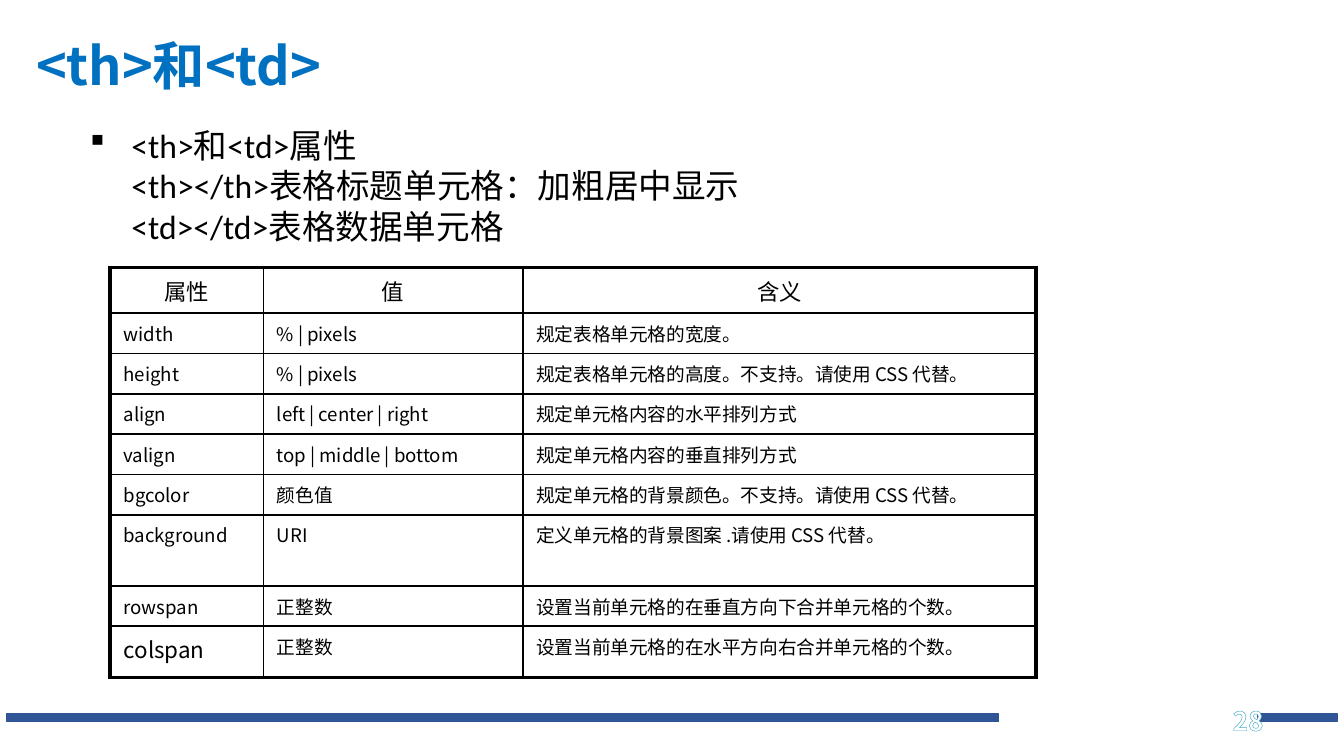
from lxml import etree
from pptx import Presentation
from pptx import util as u
from pptx.dml.color import RGBColor
from pptx.enum import dml, shapes, text
from pptx.oxml.ns import qn

SANS = "Noto Sans CJK SC"
BLACK = "000000"
BAR_BLUE = "2F5597"
THIN, THICK = 1, 2.25

COLUMNS = [1.14, 1.93, 3.82]
ROWS = [0.34] + [0.3] * 5 + [0.53, 0.3, 0.38]
ATTRIBUTES = [
    ("属性", "值", "含义"),
    ("width", "% | pixels", "规定表格单元格的宽度。"),
    ("height", "% | pixels", "规定表格单元格的高度。不支持。请使用 CSS 代替。"),
    ("align", "left | center | right", "规定单元格内容的水平排列方式"),
    ("valign", "top | middle | bottom", "规定单元格内容的垂直排列方式"),
    ("bgcolor", "颜色值", "规定单元格的背景颜色。不支持。请使用 CSS 代替。"),
    ("background", "URI", "定义单元格的背景图案 .请使用 CSS 代替。"),
    ("rowspan", "正整数", "设置当前单元格的在垂直方向下合并单元格的个数。"),
    ("colspan", "正整数", "设置当前单元格的在水平方向右合并单元格的个数。"),
]


def rgb(value):
    return RGBColor.from_string(value)


def add_solid_line(parent, tag, width, color):
    line = etree.SubElement(parent, qn(tag), w=str(u.Pt(width)))
    fill = etree.SubElement(line, qn("a:solidFill"))
    etree.SubElement(fill, qn("a:srgbClr"), val=color)
    return line


def write(frame, words, size=10, font=SANS, east_asian=SANS, color=BLACK,
          bold=False, align=text.PP_ALIGN.LEFT, anchor=None):
    """Fill a text frame with one formatted paragraph and return it."""
    frame.word_wrap = True
    if anchor is not None:
        frame.vertical_anchor = anchor
    para = frame.paragraphs[0]
    para.text = words
    para.alignment = align
    for span in para.runs:
        span.font.size = u.Pt(size)
        span.font.name = font
        span.font.bold = bold
        span.font.color.rgb = rgb(color)
        latin = span.font._element.find(qn("a:latin"))
        latin.addnext(etree.Element(qn("a:ea"), typeface=east_asian))
    return para


def add_text(page, box, words, **style):
    frame = page.shapes.add_textbox(*map(u.Inches, box)).text_frame
    return write(frame, words, **style)


def add_footer_bars(page, box):
    left, top, width, height = box
    # The gap between the bars holds the page number
    for offset, length in ((0, 7.38), (width - 0.59, 0.59)):
        bar = page.shapes.add_shape(
            shapes.MSO_SHAPE.RECTANGLE,
            *map(u.Inches, (left + offset, top, length, height)))
        bar.shadow.inherit = False
        bar.fill.solid()
        bar.fill.fore_color.rgb = rgb(BAR_BLUE)
        bar.line.color.rgb = rgb(BAR_BLUE)
        bar.line.width = u.Pt(1)


def add_intro(page, box):
    para = add_text(
        page, box,
        "<th>和<td>属性\v<th></th>表格标题单元格：加粗居中显示\v<td></td>表格数据单元格",
        size=18, font="Calibri", east_asian="Calibri")
    properties = para._p.get_or_add_pPr()
    properties.set("marL", str(u.Inches(0.31)))
    properties.set("indent", str(-u.Inches(0.31)))
    # This Wingdings character is a small square
    etree.SubElement(properties, qn("a:buFont"), typeface="Wingdings",
                     pitchFamily="2", charset="2")
    etree.SubElement(properties, qn("a:buChar"), char="§")


def add_attribute_table(page, box):
    table = page.shapes.add_table(
        len(ROWS), len(COLUMNS), *map(u.Inches, box)).table
    table.first_row = table.horz_banding = False
    for column, width in zip(table.columns, COLUMNS):
        column.width = u.Inches(width)
    for row, height in zip(table.rows, ROWS):
        row.height = u.Inches(height)

    last_row, last_column = len(ROWS) - 1, len(COLUMNS) - 1
    for r, entries in enumerate(ATTRIBUTES):
        for c, words in enumerate(entries):
            cell = table.cell(r, c)
            # Thick outer frame, thin inner grid
            edges = {"a:lnL": c == 0, "a:lnR": c == last_column,
                     "a:lnT": r == 0, "a:lnB": r == last_row}
            properties = cell._tc.get_or_add_tcPr()
            for tag, outer in edges.items():
                add_solid_line(properties, tag, THICK if outer else THIN, BLACK)
            cell.fill.background()
            if r == 0:
                style = dict(size=12, font="Arial", align=text.PP_ALIGN.CENTER)
            else:
                style = dict(size=12 if (r, c) == (last_row, 0) else 10)
            write(cell.text_frame, words, **style)


def add_page_number(page, box):
    para = add_text(page, box, "28", size=14, bold=True,
                    align=text.PP_ALIGN.RIGHT, anchor=text.MSO_ANCHOR.MIDDLE)
    # Hatched digits with a coloured outline
    font = para.runs[0].font
    font.fill.patterned()
    font.fill.pattern = dml.MSO_PATTERN.LIGHT_DOWNWARD_DIAGONAL
    font.fill.fore_color.rgb = rgb("93CDDD")
    font.fill.back_color.rgb = rgb("FFFFFF")
    outline = add_solid_line(font._element, "a:ln", 1, "4BACC6")
    font._element.insert(0, outline)


def build_slide(deck):
    page = deck.slides.add_slide(deck.slide_layouts[6])
    add_footer_bars(page, (0.05, 5.31, 9.9, 0.06))
    add_intro(page, (0.57, 0.88, 7.03, 1.01))
    add_text(page, (0.17, 0.01, 9, 0.94), "<th>和<td>", size=28,
             color="0070C0", bold=True, anchor=text.MSO_ANCHOR.MIDDLE)
    add_attribute_table(page, (0.82, 1.99, sum(COLUMNS), sum(ROWS)))
    add_page_number(page, (7.17, 5.21, 2.33, 0.3))


def main():
    deck = Presentation()
    # Widescreen, 16 to 9
    deck.slide_width = u.Inches(10)
    deck.slide_height = deck.slide_width * 9 // 16
    build_slide(deck)
    deck.save("out.pptx")


if __name__ == "__main__":
    main()
